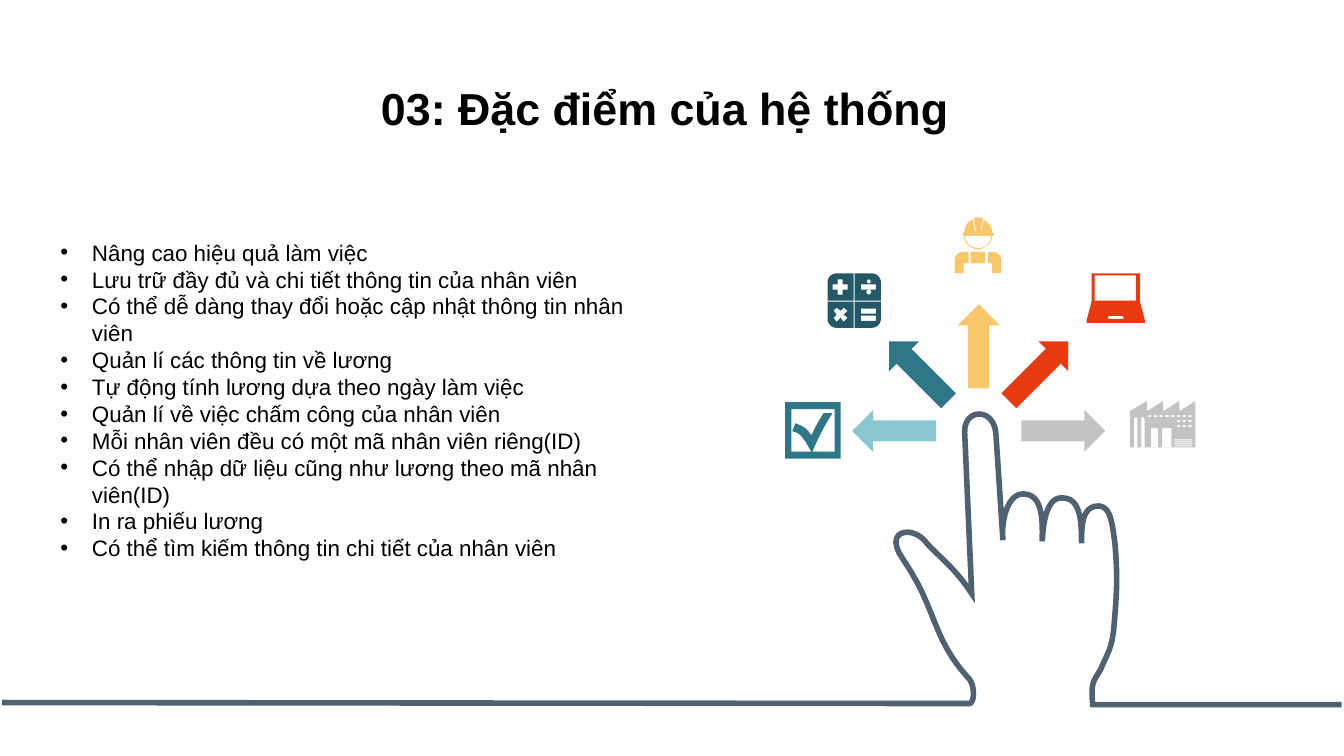
from lxml import etree
from math import cos, radians, sin

from pptx import Presentation
from pptx.dml.color import RGBColor
from pptx.enum import shapes, text
from pptx.oxml import ns
from pptx.util import Pt

COLORS = {
    "text": "000000", "hand": "506272", "worker": "F7C76A", "laptop": "E93A0F",
    "factory": "C1C3C4", "check": "307689", "pale": "8AC7D3", "calculator": "245867",
}
FONT = "Arial"
GRID = 0.72  # points per unit of the outlines below
CURVE_STEPS = 12

TITLE = "03: Đặc điểm của hệ thống"
FEATURES = [
    "Nâng cao hiệu quả làm việc",
    "Lưu trữ đầy đủ và chi tiết thông tin của nhân viên",
    "Có thể dễ dàng thay đổi hoặc cập nhật thông tin nhân viên",
    "Quản lí các thông tin về lương",
    "Tự động tính lương dựa theo ngày làm việc",
    "Quản lí về việc chấm công của nhân viên",
    "Mỗi nhân viên đều có một mã nhân viên riêng(ID)",
    "Có thể nhập dữ liệu cũng như lương theo mã nhân viên(ID)",
    "In ra phiếu lương",
    "Có thể tìm kiếm thông tin chi tiết của nhân viên",
]


def bar(left, top, right, bottom):
    return [(left, top), (right, top), (right, bottom), (left, bottom)]


def disc(x, y, radius):
    return [(x + radius * cos(radians(a)), y + radius * sin(radians(a)))
            for a in range(0, 360, 20)]


# An outline is a list of contours. Two numbers are a corner, six are a Bézier curve.
HAND = [[
    (2, 297), (961, 298), (967, 299, 968, 279, 960, 272), (924, 232, 930, 205, 896, 155),
    (876, 127, 903, 121, 917, 136), (928, 150, 946, 161, 964, 189), (957, 29),
    (956, 5, 986, 4, 988, 30), (995, 136), (993, 121, 998, 90, 1015, 90),
    (1036, 90, 1034, 120, 1034, 137), (1035, 116, 1039, 93, 1054, 94),
    (1072, 94, 1073, 117, 1073, 139), (1073, 122, 1073, 102, 1090, 102),
    (1102, 103, 1103, 118, 1106, 138), (1109, 172, 1108, 188, 1105, 223),
    (1103, 245, 1097, 251, 1092, 264), (1085, 276, 1082, 276, 1084, 299), (1331, 299),
]]
WORKER = [
    [(33, 34), (38, 34), (42, 34, 46, 37, 46, 42), (46, 55), (37, 55), (37, 45), (33, 45)],
    bar(16, 34, 30, 45),
    [(9, 34), (14, 34), (14, 45), (9, 45), (9, 55), (0, 55), (0, 42), (0, 37, 4, 34, 9, 34)],
    [(10, 18), (10, 19), (11, 23, 13, 26.5, 17, 28.5), (21, 30.5, 26, 30.5, 30, 28.5),
     (33, 26.5, 36, 23, 36, 19), (36, 18)],
    [(21, 0), (25, 0), (26, 0, 27, 0, 28, 1), (28, 2), (26, 12), (26, 13), (27, 12), (29, 2),
     (30, 3), (34, 5, 37, 9, 37, 13), (37, 15), (38, 15), (39, 16), (39, 17), (38, 18),
     (37, 18), (37, 19), (37, 23, 34, 27, 30, 29), (26, 32, 21, 32, 16, 29),
     (12, 27, 10, 23, 9, 19), (9, 18), (8, 17), (8, 16), (9, 15), (10, 13),
     (10, 9, 12, 5, 16, 3), (18, 2), (20, 12), (20, 13), (21, 13), (21, 12), (19, 2),
     (19, 1), (19, 0, 20, 0, 21, 0)],
]
FACTORY = [
    [(17, 0), (17, 10), (33, 0), (33, 10), (49, 0), (49, 10), (65, 0), (65, 46), (0, 46), (0, 10)],
    bar(21, 27, 28, 46), bar(32, 27, 41, 46),
    *[bar(44, top, 62, top + 1) for top in range(38, 46, 2)],
    *[[(x, 46), (x, 18), (x, 15.3, x + 3.5, 15.3, x + 3.5, 18), (x + 3.5, 46)] for x in (4, 11)],
    *[bar(18 + 5.7 * column, top, 21.3 + 5.7 * column, top + 2)
      for top, first in ((14, 0), (19, 5), (24, 5)) for column in range(first, 8)],
]
LAPTOP = [
    [(22, 42), (21, 45), (37, 45), (36, 42)],
    bar(8, 2, 49, 27),
    [(5, 0), (53, 0), (53, 28), (58, 47), (58, 49), (0, 49), (0, 47), (5, 28)],
]
CALCULATOR = [
    [(9, 0), (44, 0), (49, 0, 53, 4, 53, 9), (53, 27), (27, 27), (27, 0), (26, 0), (26, 27),
     (0, 27), (0, 9), (0, 4, 4, 0, 9, 0)],
    [(27, 28), (53, 28), (53, 45), (53, 50, 49, 54, 44, 54), (27, 54)],
    [(0, 28), (26, 28), (26, 54), (9, 54), (4, 54, 0, 50, 0, 45)],
    [(10, 6), (10, 11), (5, 11), (5, 16), (10, 16), (10, 21), (15, 21), (15, 16), (20, 16),
     (20, 11), (15, 11), (15, 6)],
    [(9, 34), (6, 37), (9, 41), (6, 44), (9, 48), (13, 44), (16, 48), (20, 44), (16, 41),
     (20, 37), (16, 34), (13, 37)],
    bar(33, 11, 48, 16), bar(33, 35, 48, 40), bar(33, 42, 48, 47),
    disc(41, 8, 2), disc(41, 18.5, 2.5),
]
CHECKBOX = [
    bar(0, 0, 55, 56),
    [(6, 7), (6, 49), (26, 49), (21, 42, 17, 30, 7, 29), (10, 21), (19, 24, 22, 27, 26, 33),
     (30, 24, 33, 19, 38, 11), (47, 11), (40, 21, 32, 37, 27, 49), (49, 49), (49, 7)],
]


def rgb(name):
    return RGBColor.from_string(COLORS[name])


def flatten(contour):
    """Return the contour's points in EMU, with each curve as short segments."""
    points = []
    for step in contour:
        if len(step) == 2:
            points.append(step)
            continue
        knots = [points[-1], step[0:2], step[2:4], step[4:6]]
        for i in range(1, CURVE_STEPS + 1):
            t = i / CURVE_STEPS
            weights = ((1 - t) ** 3, 3 * t * (1 - t) ** 2, 3 * t * t * (1 - t), t ** 3)
            points.append(tuple(sum(w * knot[axis] for w, knot in zip(weights, knots))
                                for axis in (0, 1)))
    return [(Pt(x * GRID), Pt(y * GRID)) for x, y in points]


def add_outline(slide, outline, left, top, close=True):
    first, *others = [flatten(contour) for contour in outline]
    builder = slide.shapes.build_freeform(*first[0])
    builder.add_line_segments(first[1:], close=close)
    for points in others:
        builder.move_to(*points[0])
        builder.add_line_segments(points[1:], close=close)
    shape = builder.convert_to_shape(Pt(left), Pt(top))
    shape.shadow.inherit = False
    return shape


def paint(shape, color):
    shape.fill.solid()
    shape.fill.fore_color.rgb = rgb(color)
    shape.line.fill.background()


def fill_placeholder(placeholder, box, lines, size, bold=False):
    placeholder.left, placeholder.top, placeholder.width, placeholder.height = map(Pt, box)
    frame = placeholder.text_frame
    frame.text = "\n".join(lines)
    frame.word_wrap = True
    frame.auto_size = text.MSO_AUTO_SIZE.NONE
    frame.vertical_anchor = text.MSO_ANCHOR.TOP
    for paragraph in frame.paragraphs:
        paragraph.alignment = text.PP_ALIGN.LEFT
        paragraph.space_before = Pt(0)
        paragraph.font.name = FONT
        paragraph.font.size = Pt(size)
        paragraph.font.bold = bold
        paragraph.font.color.rgb = rgb("text")
    return frame


def add_title(slide, box):
    frame = fill_placeholder(slide.shapes.title, box, [TITLE], 32, bold=True)
    frame.margin_left = frame.margin_right = Pt(8.6)


def add_features(slide, box):
    frame = fill_placeholder(slide.placeholders[1], box, FEATURES, 16)
    for paragraph in frame.paragraphs:
        properties = paragraph._p.get_or_add_pPr()
        properties.set("marL", str(Pt(22.5)))
        properties.set("indent", str(-Pt(22.5)))


def add_hand(slide, left, top):
    hand = add_outline(slide, HAND, left, top, close=False)
    hand.fill.background()
    hand.line.color.rgb = rgb("hand")
    hand.line.width = Pt(4)
    line = hand._element.spPr.find(ns.qn("a:ln"))
    etree.SubElement(line, ns.qn("a:miter")).set("lim", "800000")


def add_arrow_fan(slide, center_x, center_y, radius=60.4, length=60, thickness=30):
    fan = ["pale", "check", "worker", "laptop", "factory"]
    for i, color in enumerate(fan):
        angle = 180 + 45 * i
        x = center_x + radius * cos(radians(angle))
        y = center_y + radius * sin(radians(angle))
        arrow = slide.shapes.add_shape(
            shapes.MSO_SHAPE.RIGHT_ARROW, Pt(x - length / 2), Pt(y - thickness / 2),
            Pt(length), Pt(thickness))
        arrow.rotation = angle % 360
        arrow.shadow.inherit = False
        paint(arrow, color)


def add_illustration(slide, left, top):
    """Draw the pointing hand, its arrows and the five icons around them."""
    add_hand(slide, 0, top + 132.5)
    add_arrow_fan(slide, left + 138.2, top + 152.3)
    icons = [
        (FACTORY, 246.2, 131, "factory"), (WORKER, 121, 0, "worker"),
        (LAPTOP, 215.2, 39.8, "laptop"), (CALCULATOR, 30.2, 39.8, "calculator"),
        (CHECKBOX, 0, 131.8, "check"),
    ]
    for outline, x, y, color in icons:
        paint(add_outline(slide, outline, left + x, top + y), color)


def main():
    presentation = Presentation()
    presentation.slide_width, presentation.slide_height = Pt(960), Pt(540)
    slide = presentation.slides.add_slide(presentation.slide_layouts[1])
    add_title(slide, (263.5, 54, 435, 46))
    add_features(slide, (36, 167, 434, 257))
    add_illustration(slide, 560.9, 155.5)
    presentation.save("out.pptx")


if __name__ == "__main__":
    main()
